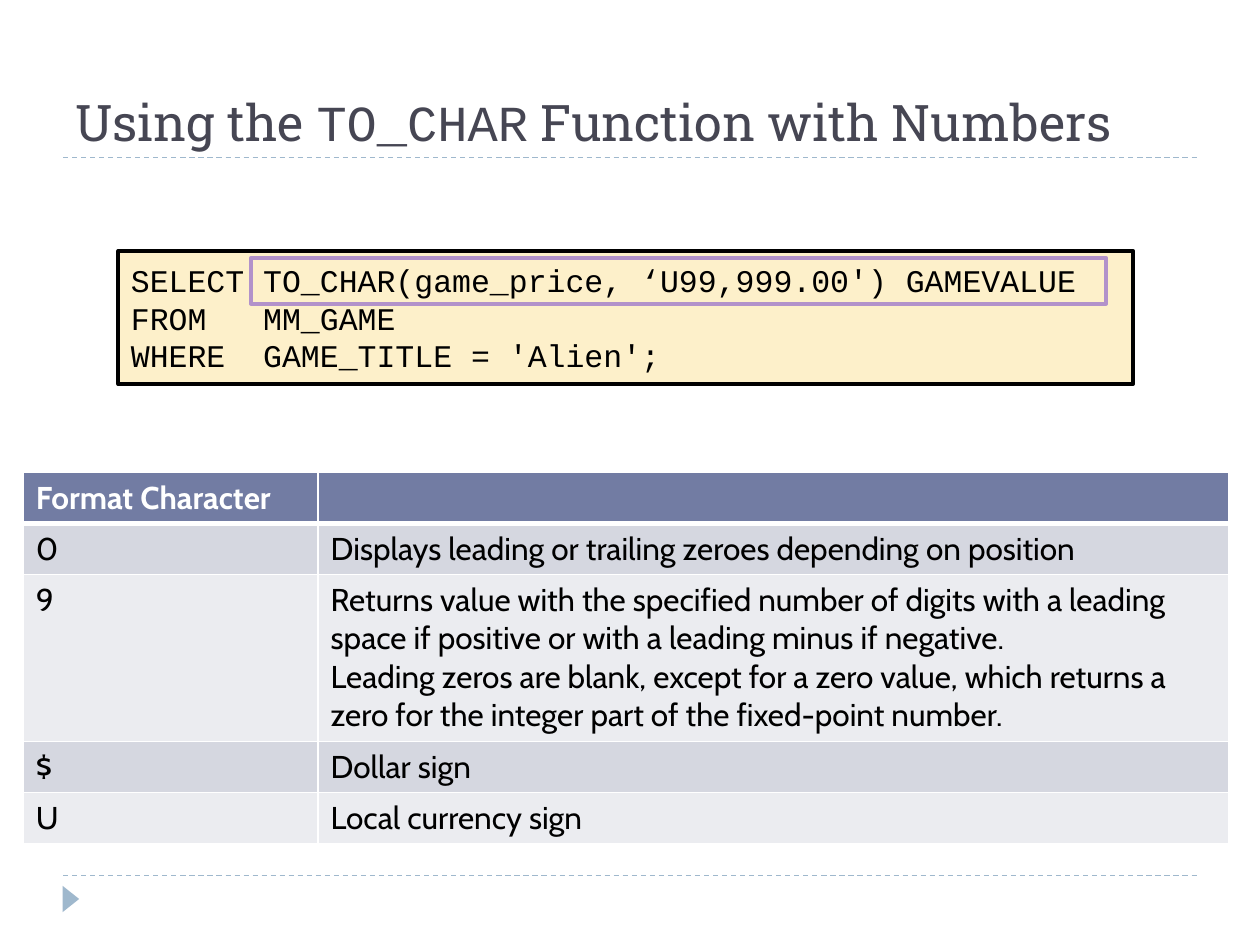
import pptx
import pptx.util
import pptx.dml.color
import pptx.enum.dml
import pptx.enum.shapes
import pptx.enum.text
import pptx.oxml
import pptx.oxml.ns

Pt = pptx.util.Pt
RGB = pptx.dml.color.RGBColor
Kind = pptx.enum.shapes.MSO_SHAPE
Anchor = pptx.enum.text.MSO_ANCHOR

BLACK = RGB(0x00, 0x00, 0x00)
WHITE = RGB(0xFF, 0xFF, 0xFF)
INK = RGB(0x46, 0x46, 0x53)
SKY = RGB(0x9F, 0xB8, 0xCD)
CREAM = RGB(0xFD, 0xF0, 0xCA)
LILAC = RGB(0xB2, 0x92, 0xCA)
HEAD = RGB(0x72, 0x7C, 0xA3)
BANDS = RGB(0xD5, 0xD7, 0xE0), RGB(0xEB, 0xEC, 0xF0)

SERIF, MONO, SANS = "Roboto Slab", "Courier New", "Cabin"

TITLE = [("Using the ", SERIF), ("TO_CHAR", MONO),
         (" Function with Numbers", SERIF)]
CODE = ["SELECT TO_CHAR(game_price, ‘U99,999.00') GAMEVALUE",
        "FROM   MM_GAME",
        "WHERE  GAME_TITLE = 'Alien';"]
ROWS = [
    ("Format Character", []),
    ("0", ["Displays leading or trailing zeroes depending on position"]),
    ("9", ["Returns value with the specified number of digits with a leading "
           "space if positive or with a leading minus if negative.",
           "Leading zeros are blank, except for a zero value, which returns a "
           "zero for the integer part of the fixed-point number."]),
    ("$", ["Dollar sign"]),
    ("U", ["Local currency sign"]),
]
WIDTHS = 168.5, 520.5
ROW, TALL = 29.2, 95.4


def add_run(para, text, face, size, color, bold=False):
    run = para.add_run()
    run.text = text
    font = run.font
    font.name, font.size, font.bold = face, Pt(size), bold
    font.color.rgb = color


def add_lines(frame, lines, face, size, color, bold=False):
    """Write each line as a paragraph of its own."""
    for i, line in enumerate(lines):
        para = frame.add_paragraph() if i else frame.paragraphs[0]
        para.alignment = pptx.enum.text.PP_ALIGN.LEFT
        add_run(para, line, face, size, color, bold)


def add_box(slide, kind, box, fill=None, line=None):
    shape = slide.shapes.add_shape(kind, *map(Pt, box))
    shape.shadow.inherit = False
    if fill is None:
        shape.fill.background()
    else:
        shape.fill.solid()
        shape.fill.fore_color.rgb = fill
    if line is None:
        shape.line.fill.background()
    else:
        shape.line.color.rgb = line
        shape.line.width = Pt(2.25)
    return shape


def add_rule(slide, y):
    """Draw a dashed line across the slide."""
    rule = slide.shapes.add_connector(
        pptx.enum.shapes.MSO_CONNECTOR.STRAIGHT, Pt(36), Pt(y), Pt(684), Pt(y))
    rule.line.color.rgb = SKY
    rule.line.width = Pt(0.75)
    rule.line.dash_style = pptx.enum.dml.MSO_LINE.DASH
    props = rule.element.spPr
    props.append(pptx.oxml.parse_xml(
        "<a:effectLst %s/>" % pptx.oxml.ns.nsdecls("a")))


def add_title(slide):
    frame = slide.shapes.add_textbox(Pt(36), Pt(18), Pt(648), Pt(72)).text_frame
    frame.word_wrap = True
    frame.vertical_anchor = Anchor.BOTTOM
    for text, face in TITLE:
        add_run(frame.paragraphs[0], text, face, 28.8, INK)


def add_code(slide):
    box = add_box(slide, Kind.RECTANGLE, (67.7, 143.3, 579.6, 76.3), CREAM, BLACK)
    frame = box.text_frame
    frame.word_wrap = False
    frame.vertical_anchor = Anchor.MIDDLE
    add_lines(frame, CODE, MONO, 18, BLACK)


def set_edges(cell, base):
    """Give a cell white borders, with its own width at the base."""
    props = cell._tc.get_or_add_tcPr()
    sides = ("lnL", 1), ("lnR", 1), ("lnT", 1), ("lnB", base)
    for i, (side, width) in enumerate(sides):
        props.insert(i, pptx.oxml.parse_xml(
            '<a:%s %s w="%d"><a:solidFill><a:srgbClr val="%s"/></a:solidFill>'
            '</a:%s>' % (side, pptx.oxml.ns.nsdecls("a"), Pt(width), WHITE, side)))


def add_grid(slide):
    grid = slide.shapes.add_table(
        len(ROWS), len(WIDTHS), Pt(13.3), Pt(270), Pt(sum(WIDTHS)),
        Pt(ROW * 4 + TALL)).table
    for col, width in zip(grid.columns, WIDTHS):
        col.width = Pt(width)
    for r, (sign, notes) in enumerate(ROWS):
        grid.rows[r].height = Pt(TALL if len(notes) > 1 else ROW)
        head = r == 0
        for c, lines in enumerate(([sign], notes)):
            cell = grid.cell(r, c)
            cell.fill.solid()
            cell.fill.fore_color.rgb = HEAD if head else BANDS[(r - 1) % 2]
            set_edges(cell, 3 if head else 1)
            add_lines(cell.text_frame, lines, SANS, 18,
                      WHITE if head else BLACK, head)


def main():
    deck = pptx.Presentation()
    deck.slide_width, deck.slide_height = Pt(720), Pt(540)
    slide = deck.slides.add_slide(deck.slide_layouts[6])
    for y in (500.4, 90):
        add_rule(slide, y)
    mark = add_box(slide, Kind.ISOSCELES_TRIANGLE, (33, 509, 15, 9.4), SKY)
    mark.rotation = 90
    add_code(slide)
    add_title(slide)
    add_box(slide, Kind.RECTANGLE, (143.3, 147.6, 488.9, 25.9), line=LILAC)
    add_grid(slide)
    deck.save("out.pptx")


if __name__ == "__main__":
    main()
